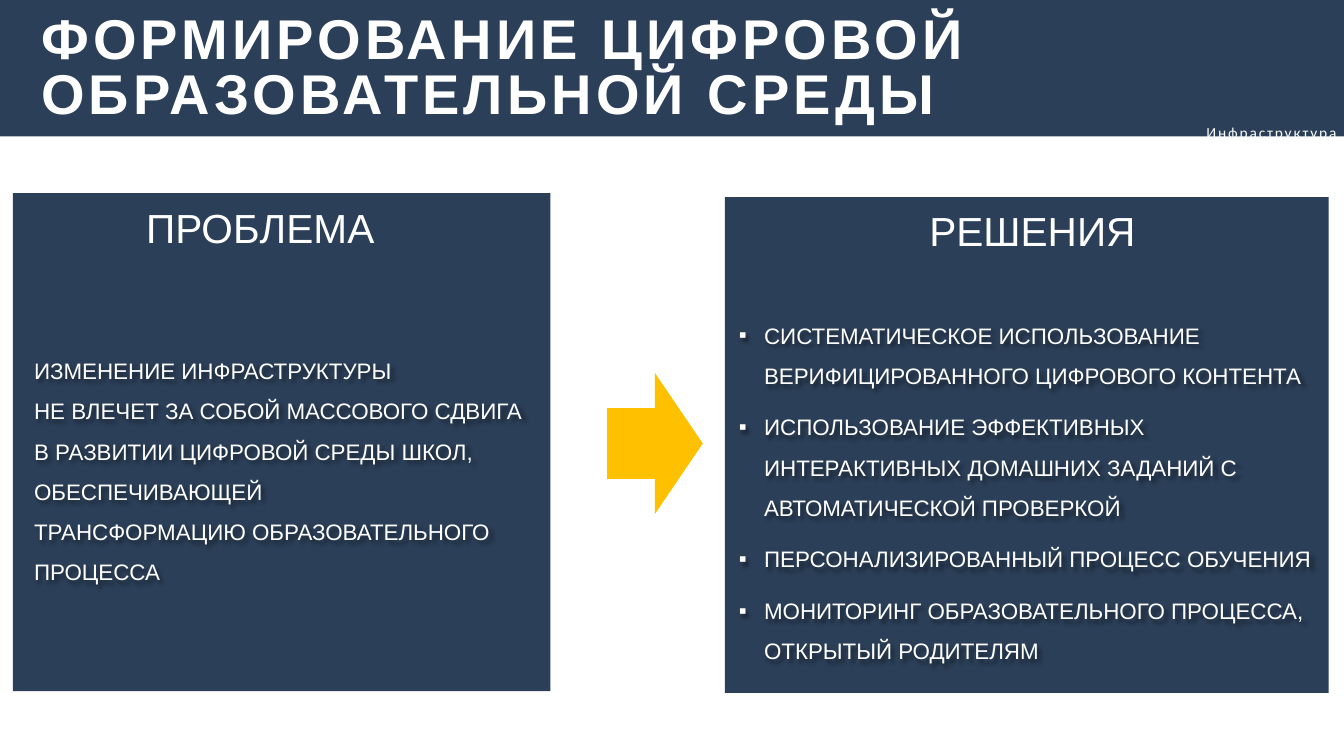
from lxml import etree
from pptx import Presentation
from pptx.dml.color import RGBColor
from pptx.enum.shapes import MSO_SHAPE as SHAPE
from pptx.enum.text import MSO_AUTO_SIZE as AUTO, PP_ALIGN as ALIGN
from pptx.oxml import parse_xml
from pptx.oxml.ns import nsdecls, qn
from pptx.util import Pt

NAVY = RGBColor(0x20, 0x35, 0x50)
AMBER = RGBColor(0xFF, 0xC0, 0x00)
WHITE = RGBColor(0xFF, 0xFF, 0xFF)
PALE = RGBColor(0xF8, 0xFB, 0xF8)

SHADOW = (
    f'<a:effectLst {nsdecls("a")}>'
    '<a:outerShdw blurRad="38100" dist="38100" dir="2700000" algn="tl">'
    '<a:srgbClr val="000000"><a:alpha val="43000"/></a:srgbClr>'
    '</a:outerShdw></a:effectLst>'
)

PROBLEM = [
    "ИЗМЕНЕНИЕ ИНФРАСТРУКТУРЫ",
    "НЕ ВЛЕЧЕТ ЗА СОБОЙ МАССОВОГО СДВИГА В РАЗВИТИИ ЦИФРОВОЙ СРЕДЫ ШКОЛ, ОБЕСПЕЧИВАЮЩЕЙ",
    "ТРАНСФОРМАЦИЮ ОБРАЗОВАТЕЛЬНОГО ПРОЦЕССА",
]
SOLUTIONS = [
    "СИСТЕМАТИЧЕСКОЕ ИСПОЛЬЗОВАНИЕ ВЕРИФИЦИРОВАННОГО ЦИФРОВОГО КОНТЕНТА",
    "ИСПОЛЬЗОВАНИЕ ЭФФЕКТИВНЫХ ИНТЕРАКТИВНЫХ ДОМАШНИХ ЗАДАНИЙ С АВТОМАТИЧЕСКОЙ ПРОВЕРКОЙ",
    "ПЕРСОНАЛИЗИРОВАННЫЙ ПРОЦЕСС ОБУЧЕНИЯ",
    "МОНИТОРИНГ ОБРАЗОВАТЕЛЬНОГО ПРОЦЕССА, ОТКРЫТЫЙ РОДИТЕЛЯМ",
]


def add_text(p, text, size=16, font="Arial", color=WHITE, bold=False,
             spacing=0, align=ALIGN.LEFT, line=None, before=0, bullet=None):
    p.alignment = align
    p.space_before = Pt(before)
    if line:
        p.line_spacing = line
    if bullet:
        pPr = p._p.get_or_add_pPr()
        pPr.set("marL", str(Pt(18)))
        pPr.set("indent", str(-Pt(18)))
        etree.SubElement(pPr, qn("a:buFont")).set("typeface", "Arial")
        etree.SubElement(pPr, qn("a:buChar")).set("char", bullet)
    r = p.add_run()
    r.text = text
    r.font.size = Pt(size)
    r.font.name = font
    r.font.bold = bold
    r.font.color.rgb = color
    if spacing:
        r._r.get_or_add_rPr().set("spc", str(round(spacing * 100)))


class SlideBuilder:
    def __init__(self, s):
        self.s = s

    def shape(self, kind, x, y, w, h, color, alpha=100):
        sp = self.s.shapes.add_shape(kind, Pt(x), Pt(y), Pt(w), Pt(h))
        sp.shadow.inherit = False
        sp.fill.solid()
        sp.fill.fore_color.rgb = color
        sp.line.fill.background()
        if alpha < 100:
            clr = sp._element.spPr.find(".//" + qn("a:srgbClr"))
            etree.SubElement(clr, qn("a:alpha")).set("val", str(alpha * 1000))

    def panel(self, x, y, w, h):
        self.shape(SHAPE.RECTANGLE, x, y, w, h, NAVY, alpha=95)

    def text(self, x, y, w, h, lines, inset=(0, 0), shadow=False, **style):
        sp = self.s.shapes.add_textbox(Pt(x), Pt(y), Pt(w), Pt(h))
        if shadow:
            sp._element.spPr.append(parse_xml(SHADOW))
        tf = sp.text_frame
        tf.word_wrap = True
        tf.auto_size = AUTO.SHAPE_TO_FIT_TEXT
        tf.margin_left = tf.margin_right = Pt(inset[0])
        tf.margin_top = tf.margin_bottom = Pt(inset[1])
        for i, line in enumerate(lines):
            p = tf.add_paragraph() if i else tf.paragraphs[0]
            add_text(p, line, **style)

    def heading(self, x, y, text):
        self.text(x, y, 203.8, 40.3, [text], inset=(5, 2.4), size=29)


def main():
    prs = Presentation()
    prs.slide_width, prs.slide_height = Pt(960), Pt(540)
    b = SlideBuilder(prs.slides.add_slide(prs.slide_layouts[6]))

    b.panel(0, -0.6, 960, 98)
    b.panel(9.2, 138, 384, 355.8)
    b.text(24.4, 245.5, 353.6, 174.2, PROBLEM, shadow=True, line=1.5)
    b.text(29.5, 11.5, 851, 79.2, ["ФОРМИРОВАНИЕ ЦИФРОВОЙ ОБРАЗОВАТЕЛЬНОЙ СРЕДЫ"],
           size=40, bold=True, spacing=3, line=Pt(39.1))
    b.text(810.7, 74.9, 195.1, 25.9, ["Инфраструктура"], size=11, font="Calibri",
           color=PALE, spacing=1.3, align=ALIGN.CENTER, line=Pt(26.1))
    b.shape(SHAPE.RIGHT_ARROW, 433.6, 266.4, 68.4, 100.8, AMBER)
    b.panel(517.8, 140.8, 431.3, 354.2)
    b.text(527.8, 220.3, 410.4, 257, SOLUTIONS, shadow=True,
           line=1.5, before=8, bullet="▪")
    b.heading(99.4, 142.6, "ПРОБЛЕМА")
    b.heading(658.8, 144.7, "РЕШЕНИЯ")

    prs.save("out.pptx")


if __name__ == "__main__":
    main()
